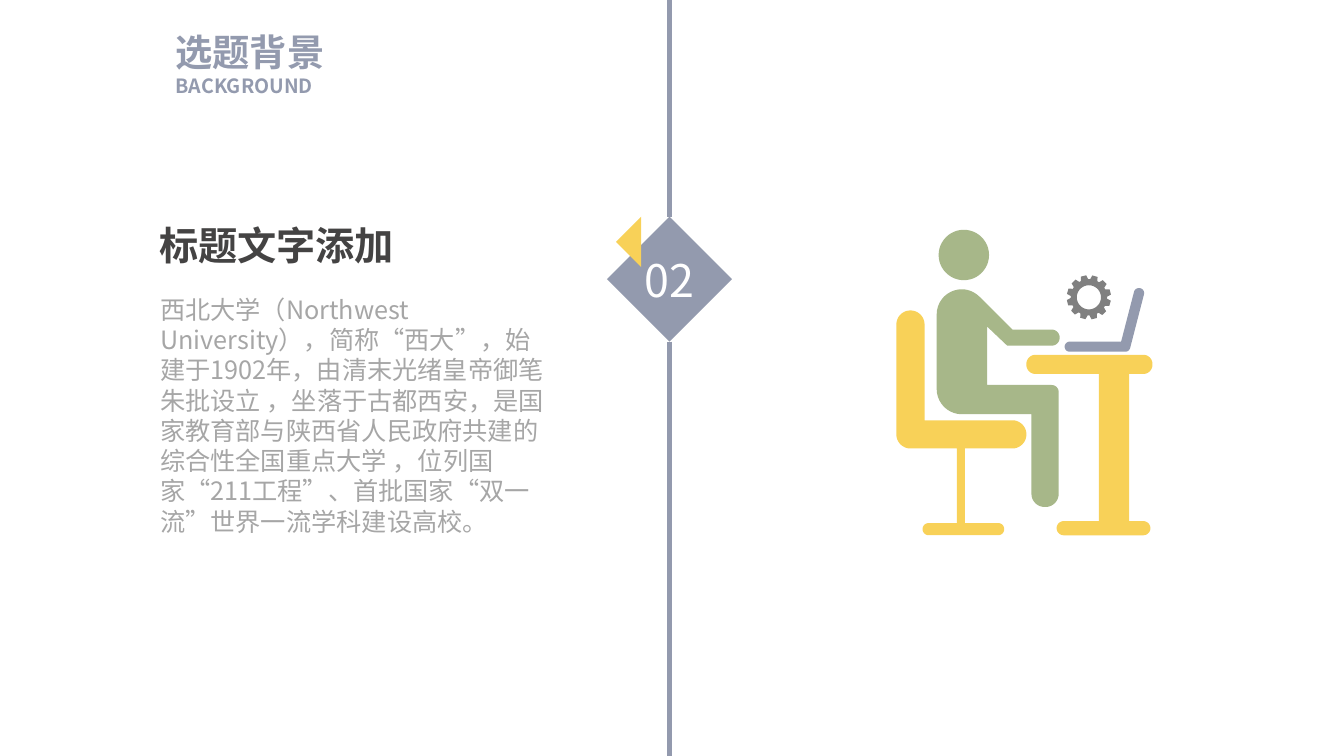
from math import atan2, cos, hypot, pi, radians, sin, tan

from pptx import Presentation
from pptx.dml.color import RGBColor as RGB
from pptx.enum.shapes import MSO_CONNECTOR as LINE, MSO_SHAPE as SHAPE
from pptx.enum.text import MSO_ANCHOR as ANCHOR, PP_ALIGN as ALIGN
from pptx.oxml.ns import qn
from pptx.util import Inches, Pt

SLATE = RGB(0x93, 0x9A, 0xAE)
YELLOW = RGB(0xF8, 0xD1, 0x58)
GREEN = RGB(0xA7, 0xB7, 0x89)
GRAY = RGB(0x80, 0x80, 0x80)
DARK = RGB(0x44, 0x43, 0x43)
PALE = RGB(0xA6, 0xA6, 0xA6)
WHITE = RGB(0xFF, 0xFF, 0xFF)
SANS = "Noto Sans CJK SC"

BODY = (
    "西北大学（Northwest University），简称“西大”，始建于1902年，"
    "由清末光绪皇帝御笔朱批设立 ，坐落于古都西安，"
    "是国家教育部与陕西省人民政府共建的综合性全国重点大学 ，"
    "位列国家“211工程”、首批国家“双一流”世界一流学科建设高校。"
)


# Text helpers
def write(frame, text, size, color, font=SANS, bold=False, align=ALIGN.LEFT):
    para = frame.paragraphs[0] if not frame.text else frame.add_paragraph()
    para.alignment = align
    para.line_spacing = Pt(round(size * 1.2, 1))
    run = para.add_run()
    run.text = text
    run.font.name = font
    run.font.size = Pt(size)
    run.font.bold = bold
    run.font.color.rgb = color
    east = run.font._element.makeelement(qn("a:ea"), {"typeface": SANS})
    run.font._element.find(qn("a:latin")).addnext(east)


def clear(frame):
    frame.margin_left = frame.margin_right = 0
    frame.margin_top = frame.margin_bottom = 0


def add_box(shapes, left, top, width, height, wrap=True):
    box = shapes.add_textbox(*map(Inches, (left, top, width, height)))
    box.text_frame.word_wrap = wrap
    return box.text_frame


# Shape helpers
def paint(shape, color):
    shape.shadow.inherit = False
    shape.fill.solid()
    shape.fill.fore_color.rgb = color
    shape.line.fill.background()
    return shape


def preset(shapes, kind, left, top, width, height, color):
    spot = map(Inches, (left, top, width, height))
    return paint(shapes.add_shape(kind, *spot), color)


def outline(shapes, left, top, loops, color):
    pen = None
    for loop in loops:
        spots = [(Inches(left + x), Inches(top + y)) for x, y in loop]
        if pen is None:
            pen = shapes.build_freeform(*spots[0], scale=1.0)
        else:
            pen.move_to(*spots[0])
        pen.add_line_segments(spots[1:], close=True)
    return paint(pen.convert_to_shape(), color)


def soften(corners, steps=10):
    """Turn (x, y, radius) corners into points along rounded corners."""
    points = []
    for i, (x, y, *rest) in enumerate(corners):
        if not rest:
            points.append((x, y))
            continue
        radius = rest[0]
        back = corners[i - 1]
        ahead = corners[(i + 1) % len(corners)]
        a = atan2(back[1] - y, back[0] - x)
        b = atan2(ahead[1] - y, ahead[0] - x)
        turn = (b - a + pi) % (2 * pi) - pi
        half = abs(turn) / 2
        reach = radius / sin(half)
        cx = x + reach * cos(a + turn / 2)
        cy = y + reach * sin(a + turn / 2)
        side = radius / tan(half)
        start = atan2(y + side * sin(a) - cy, x + side * cos(a) - cx)
        sweep = (pi - 2 * half) * (-1 if turn > 0 else 1)
        size = hypot(x + side * cos(a) - cx, y + side * sin(a) - cy)
        for k in range(steps + 1):
            angle = start + sweep * k / steps
            points.append((cx + size * cos(angle), cy + size * sin(angle)))
    return points


def ring(radius, angles):
    return [(radius * cos(radians(a)), radius * sin(radians(a))) for a in angles]


# Header
def add_header(shapes, left, top):
    frame = add_box(shapes, left, top, 1.49, 0.68, wrap=False)
    clear(frame)
    write(frame, "选题背景", 26.6, SLATE, font="Roboto Condensed", bold=True)
    write(frame, "BACKGROUND", 14, SLATE, bold=True)


# Title and paragraph
def add_story(shapes, left, top):
    title = add_box(shapes, left, top, 3.9, 0.57)
    write(title, "标题文字添加", 28, DARK, bold=True)
    body = add_box(shapes, left + 0.01, top + 0.72, 4.05, 2.52)
    write(body, BODY, 18, PALE)


# Numbered diamond on the centre line
def add_marker(shapes, left, top, size, bottom):
    mark = preset(shapes, SHAPE.DIAMOND, left, top, size, size, SLATE)
    frame = mark.text_frame
    clear(frame)
    frame.word_wrap = False
    frame.vertical_anchor = ANCHOR.MIDDLE
    write(frame, "02", 32, WHITE, align=ALIGN.CENTER)
    flag = [(0.25, 0), (0, 0.25), (0.25, 0.5)]
    outline(shapes, left + 0.09, top, [flag], YELLOW)
    mid = Inches(left + size / 2)
    for site, edge in ((2, bottom), (0, 0)):
        line = shapes.add_connector(LINE.STRAIGHT, mid, 0, mid, Inches(edge))
        line.begin_connect(mark, site)
        line.line.color.rgb = SLATE
        line.line.width = Pt(3)
        props = line._element.spPr
        props.append(props.makeelement(qn("a:effectLst"), {}))


# Person working at a desk
def add_worker(shapes, left, top):
    parts = shapes.add_group_shape().shapes
    chair = [
        (0, 0, 0.14), (0.28, 0, 0.14), (0.28, 1.09), (1.29, 1.09, 0.14),
        (1.29, 1.37, 0.14), (0.68, 1.37), (0.68, 2.11), (1.07, 2.11, 0.06),
        (1.07, 2.23, 0.06), (0.26, 2.23, 0.06), (0.26, 2.11, 0.06),
        (0.6, 2.11), (0.6, 1.37), (0, 1.37, 0.14),
    ]
    body = [
        (0, 0, 0.25), (0.35, 0, 0.25), (0.75, 0.4), (1.22, 0.4, 0.08),
        (1.22, 0.56, 0.08), (0.7, 0.56), (0.5, 0.37), (0.5, 0.95),
        (1.21, 0.95, 0.07), (1.21, 2.16, 0.13), (0.94, 2.16, 0.13),
        (0.94, 1.24), (0, 1.24, 0.25),
    ]
    desk = [
        (0, 0, 0.09), (1.25, 0, 0.09), (1.25, 0.19, 0.09), (1.02, 0.19),
        (1.02, 1.65), (1.23, 1.65, 0.07), (1.23, 1.79, 0.07),
        (0.3, 1.79, 0.07), (0.3, 1.65, 0.07), (0.72, 1.65),
        (0.72, 0.19), (0, 0.19, 0.09),
    ]
    laptop = [
        (0, 0.54, 0.05), (0.56, 0.54), (0.7, 0, 0.05), (0.8, 0.02, 0.05),
        (0.64, 0.64, 0.05), (0, 0.64, 0.05),
    ]
    outline(parts, left, top + 0.8, [soften(chair)], YELLOW)
    preset(parts, SHAPE.OVAL, left + 0.42, top, 0.5, 0.5, GREEN)
    outline(parts, left + 0.4, top + 0.59, [soften(body)], GREEN)
    outline(parts, left + 1.29, top + 1.24, [soften(desk)], YELLOW)
    outline(parts, left + 1.67, top + 0.57, [soften(laptop)], SLATE)

    # Gear with twelve teeth and a round hole
    teeth = []
    for turn in range(16, 376, 30):
        teeth += ring(0.18, [turn - 12])
        teeth += ring(0.22, [turn - 7, turn + 7])
        teeth += ring(0.18, [turn + 12])
    hole = ring(0.12, range(360, 0, -10))
    outline(parts, left + 1.91, top + 0.67, [teeth, hole], GRAY)


def main():
    deck = Presentation()
    deck.slide_width, deck.slide_height = Inches(13.33), Inches(7.5)
    shapes = deck.slides.add_slide(deck.slide_layouts[6]).shapes
    add_worker(shapes, 8.89, 2.28)
    add_marker(shapes, 6.02, 2.15, 1.24, 7.5)
    add_story(shapes, 1.48, 2.15)
    add_header(shapes, 1.74, 0.29)
    deck.save("out.pptx")


if __name__ == "__main__":
    main()
